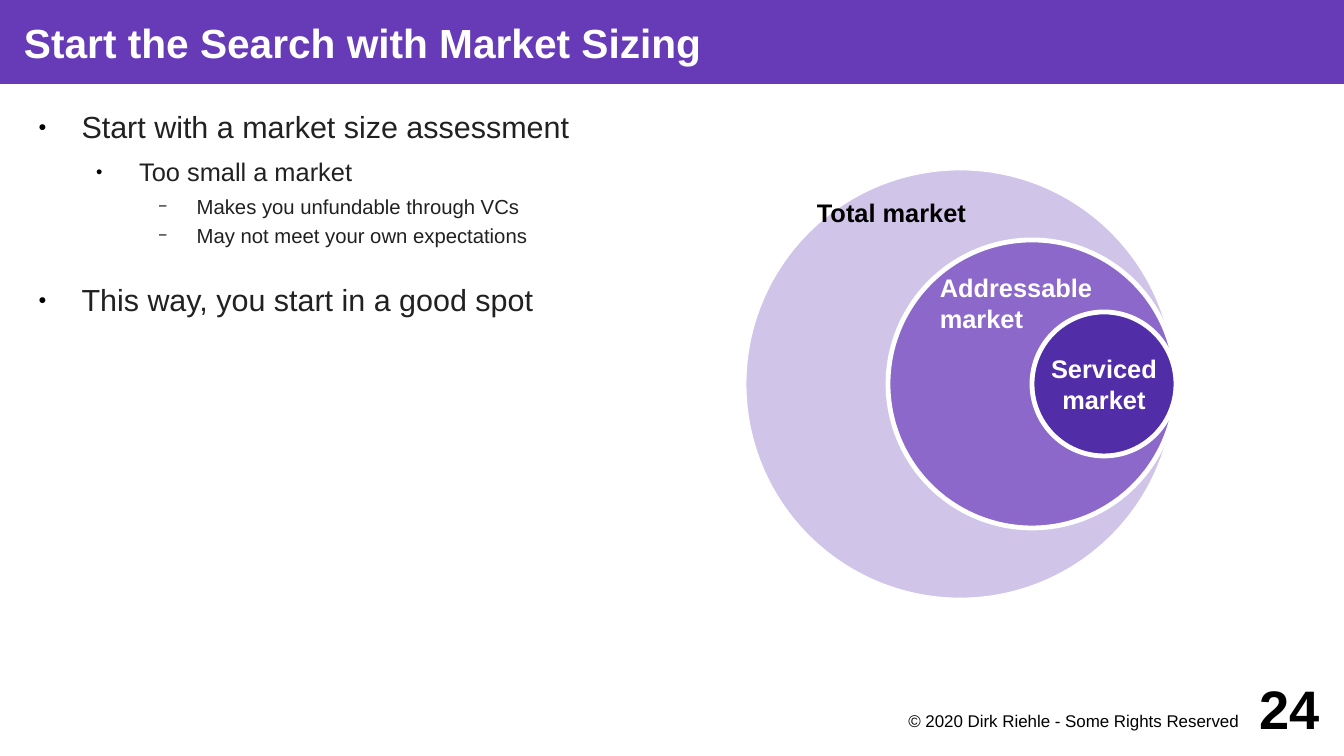
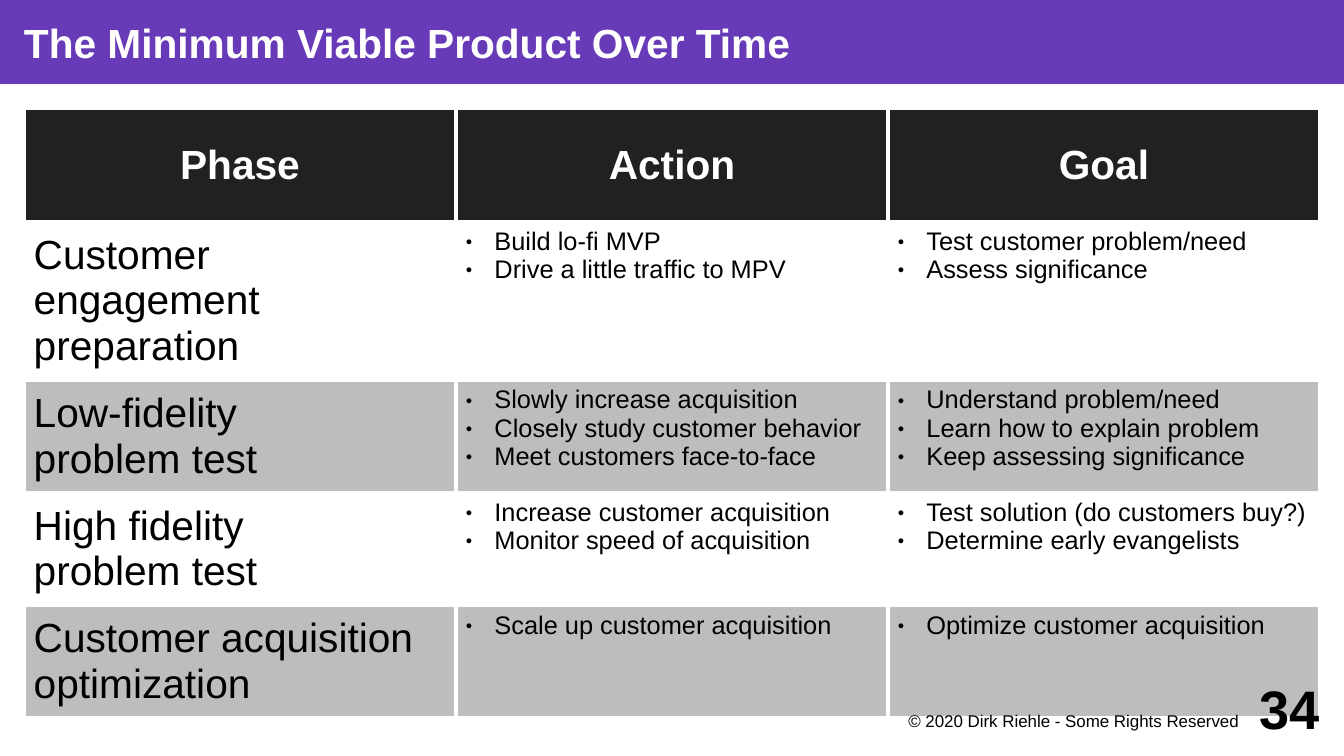
from dataclasses import dataclass

from lxml.etree import SubElement
from pptx import Presentation
from pptx.dml.color import RGBColor as Rgb
from pptx.enum.shapes import MSO_SHAPE as Preset
from pptx.enum.text import MSO_ANCHOR as Anchor, PP_ALIGN as Align
from pptx.oxml.ns import qn
from pptx.util import Pt


@dataclass(frozen=True)
class Theme:
    font: str = "Arial"
    # Colours
    band: str = "673AB7"
    light: str = "D1C4E9"
    medium: str = "8C68CA"
    dark: str = "512DA8"
    ink: str = "212121"
    stripe: str = "BDBDBD"
    black: str = "000000"
    white: str = "FFFFFF"
    # Type sizes
    title: float = 24
    label: float = 15
    footer: float = 10
    number: float = 32
    # Page grid
    width: float = 793.7
    height: float = 446.4
    band_height: float = 49.6
    margin: float = 14.2
    inset: float = 5.7


@dataclass(frozen=True)
class Level:
    size: float
    spacing: float
    hanging: float
    bullet: str
    bullet_percent: int


THEME = Theme()
CONTENT_WIDTH = THEME.width - 2 * THEME.margin
CONTENT_TOP = THEME.band_height + THEME.margin
LEVEL_INDENT = 34
GROUP_GAP = 14.3
CELL_INDENT = 17
LEVELS = (
    Level(18, 4.2, 25.5, "●", 45),
    Level(15, 2.8, 25.5, "●", 45),
    Level(12, 1.4, 22.7, "−", 75),
)
COPYRIGHT = "© 2020 Dirk Riehle - Some Rights Reserved"

# Level, text, extra gap above
SIZING_POINTS = (
    (0, "Start with a market size assessment", 0),
    (1, "Too small a market", 0),
    (2, "Makes you unfundable through VCs", 0),
    (2, "May not meet your own expectations", 0),
    (0, "This way, you start in a good spot", GROUP_GAP),
)

# Label lines, fill, text colour, anchor, alignment, top inset
MARKETS = (
    (["Total market"], THEME.light, THEME.black, Anchor.TOP, Align.LEFT, -20),
    (["Addressable", "market"], THEME.medium, THEME.white, Anchor.TOP, Align.LEFT, -5.7),
    (["Serviced", "market"], THEME.dark, THEME.white, Anchor.MIDDLE, Align.CENTER, 5.7),
)

PHASE_HEADINGS = ("Phase", "Action", "Goal")
# Phase lines, actions, goals
PHASES = (
    (["Customer engagement preparation"],
     ["Build lo-fi MVP", "Drive a little traffic to MPV"],
     ["Test customer problem/need", "Assess significance"]),
    (["Low-fidelity", "problem test"],
     ["Slowly increase acquisition", "Closely study customer behavior",
      "Meet customers face-to-face"],
     ["Understand problem/need", "Learn how to explain problem",
      "Keep assessing significance"]),
    (["High fidelity", "problem test"],
     ["Increase customer acquisition", "Monitor speed of acquisition"],
     ["Test solution (do customers buy?)", "Determine early evangelists"]),
    (["Customer acquisition optimization"],
     ["Scale up customer acquisition"],
     ["Optimize customer acquisition"]),
)


def points(*lengths):
    return [Pt(length) for length in lengths]


def set_fill(target, colour):
    target.fill.solid()
    target.fill.fore_color.rgb = Rgb.from_string(colour)


def set_insets(target, left=0, top=0, right=0, bottom=0):
    target.margin_left, target.margin_top = points(left, top)
    target.margin_right, target.margin_bottom = points(right, bottom)


def add_span(para, text, size, colour, bold=False):
    span = para.add_run()
    span.text = text
    font = span.font
    font.name, font.size, font.bold = THEME.font, Pt(size), bold
    font.color.rgb = Rgb.from_string(colour)


def paragraphs(frame, count):
    """Yield the first paragraph of a frame, then new ones up to count."""
    for index in range(count):
        yield frame.add_paragraph() if index else frame.paragraphs[0]


def add_bullet(para, character, percent, indent, hanging):
    properties = para._p.get_or_add_pPr()
    properties.set("marL", str(Pt(indent)))
    properties.set("indent", str(-Pt(hanging)))
    colour = SubElement(properties, qn("a:buClr"))
    SubElement(colour, qn("a:srgbClr"), val=THEME.black)
    SubElement(properties, qn("a:buSzPct"), val=str(percent * 1000))
    SubElement(properties, qn("a:buFont"), typeface=THEME.font)
    SubElement(properties, qn("a:buChar"), char=character)


def add_text_box(page, box):
    frame = page.shapes.add_textbox(*points(*box)).text_frame
    frame.word_wrap = True
    set_insets(frame)
    return frame


def add_filled_shape(shapes, preset, box, colour):
    shape = shapes.add_shape(preset, *points(*box))
    shape.shadow.inherit = False
    set_fill(shape, colour)
    return shape


# Shared frame: title band, and later the footer on top of the content
def add_title_band(page, title):
    box = (0, 0, THEME.width, THEME.band_height)
    band = add_filled_shape(page.shapes, Preset.RECTANGLE, box, THEME.band)
    band.line.fill.background()
    frame = band.text_frame
    frame.word_wrap = True
    frame.vertical_anchor = Anchor.MIDDLE
    set_insets(frame, left=THEME.margin)
    para = frame.paragraphs[0]
    para.alignment = Align.LEFT
    add_span(para, title, THEME.title, THEME.white, bold=True)


def add_footer(page, number):
    frame = add_text_box(page, (510.3, 418.1, 226.8, 21.3))
    set_insets(frame, top=1.4, right=THEME.inset)
    para = frame.paragraphs[0]
    para.alignment = Align.RIGHT
    add_span(para, COPYRIGHT, THEME.footer, THEME.black)

    frame = add_text_box(page, (722.8, 396.9, 56.7, 42.5))
    frame.vertical_anchor = Anchor.MIDDLE
    para = frame.paragraphs[0]
    para.alignment = Align.RIGHT
    add_span(para, str(number), THEME.number, THEME.black, bold=True)


def add_outline(page, box, items):
    frame = add_text_box(page, box)
    for para, (depth, text, gap) in zip(paragraphs(frame, len(items)), items):
        level = LEVELS[depth]
        add_bullet(para, level.bullet, level.bullet_percent,
                   LEVEL_INDENT * (depth + 1), level.hanging)
        para.level = depth
        if para._p is not frame.paragraphs[0]._p:
            para.space_before = Pt(level.spacing + gap)
        para.space_after = Pt(level.spacing)
        add_span(para, text, level.size, THEME.ink)


def add_nested_markets(page, box, markets):
    """Circles shrinking in equal steps, all touching the right edge."""
    left, top, size = box
    group = page.shapes.add_group_shape()
    for index, (lines, fill, colour, anchor, align, inset_top) in enumerate(markets):
        diameter = size * (len(markets) - index) / len(markets)
        place = (left + size - diameter, top + (size - diameter) / 2,
                 diameter, diameter)
        circle = add_filled_shape(group.shapes, Preset.OVAL, place, fill)
        circle.line.color.rgb = Rgb.from_string(THEME.white)
        circle.line.width = Pt(2.83)
        frame = circle.text_frame
        frame.word_wrap = False
        frame.vertical_anchor = anchor
        set_insets(frame, THEME.inset, inset_top, THEME.inset, THEME.inset)
        for para, line in zip(paragraphs(frame, len(lines)), lines):
            para.alignment = align
            add_span(para, line, THEME.label, colour, bold=True)


def style_cell(cell, fill, anchor):
    properties = cell._tc.get_or_add_tcPr()
    for side in ("L", "R", "T", "B"):
        edge = SubElement(properties, qn("a:ln" + side), w=str(Pt(2.27)))
        solid = SubElement(edge, qn("a:solidFill"))
        SubElement(solid, qn("a:srgbClr"), val=THEME.white)
    set_fill(cell, fill)
    cell.vertical_anchor = anchor
    set_insets(cell, THEME.inset, 3.6, THEME.inset, 3.6)


def fill_heading_cell(cell, text):
    style_cell(cell, THEME.ink, Anchor.MIDDLE)
    para = cell.text_frame.paragraphs[0]
    para.alignment = Align.CENTER
    add_span(para, text, THEME.title, THEME.white, bold=True)


def fill_phase_cell(cell, lines, fill):
    style_cell(cell, fill, Anchor.MIDDLE)
    para = cell.text_frame.paragraphs[0]
    for index, line in enumerate(lines):
        if index:
            para.add_line_break()
        add_span(para, line, THEME.title, THEME.black)


def fill_list_cell(cell, items, fill):
    style_cell(cell, fill, Anchor.TOP)
    for para, item in zip(paragraphs(cell.text_frame, len(items)), items):
        add_bullet(para, "●", 45, CELL_INDENT, CELL_INDENT)
        add_span(para, item, THEME.label, THEME.black)


def add_phase_table(page, box, headings, phases):
    width, height = box[2:]
    rows, columns = len(phases) + 1, len(headings)
    table = page.shapes.add_table(rows, columns, *points(*box)).table
    table.horz_banding = False
    for column in table.columns:
        column.width = Pt(width / columns)
    for row in table.rows:
        row.height = Pt(height / rows)
    for column, heading in enumerate(headings):
        fill_heading_cell(table.cell(0, column), heading)
    for row, (phase, *lists) in enumerate(phases, start=1):
        fill = THEME.white if row % 2 else THEME.stripe
        fill_phase_cell(table.cell(row, 0), phase, fill)
        for column, items in enumerate(lists, start=1):
            fill_list_cell(table.cell(row, column), items, fill)


# Slides
def add_sizing_page(page):
    add_title_band(page, "Start the Search with Market Sizing")
    add_outline(page, (THEME.margin, CONTENT_TOP, CONTENT_WIDTH, 326), SIZING_POINTS)
    add_nested_markets(page, (439.4, 99.2, 255.1), MARKETS)
    add_footer(page, 24)


def add_phases_page(page):
    add_title_band(page, "The Minimum Viable Product Over Time")
    box = (THEME.margin, CONTENT_TOP + 0.4, CONTENT_WIDTH, 332.6)
    add_phase_table(page, box, PHASE_HEADINGS, PHASES)
    add_footer(page, 34)


def main():
    deck = Presentation()
    deck.slide_width, deck.slide_height = points(THEME.width, THEME.height)
    blank = deck.slide_layouts[6]
    for build in (add_sizing_page, add_phases_page):
        build(deck.slides.add_slide(blank))
    deck.save("out.pptx")


if __name__ == "__main__":
    main()
